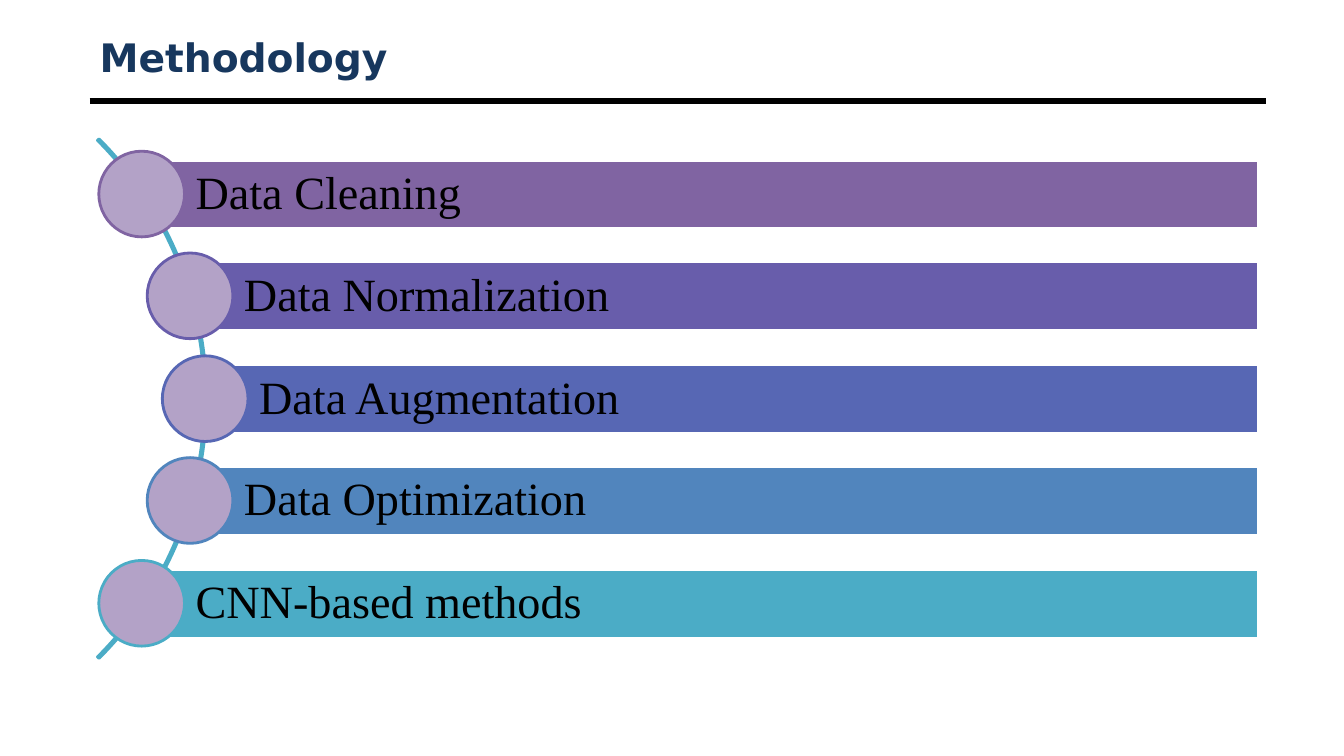
from pptx import Presentation
from pptx.dml.color import RGBColor
from pptx.enum.shapes import MSO_CONNECTOR as LINK, MSO_SHAPE as SHAPE
from pptx.enum.text import MSO_ANCHOR as ANCHOR, PP_ALIGN as ALIGN
from pptx.util import Emu, Pt
from lxml import etree

PX = 9144  # 100 px to the inch
COLORS = {"title": "17375E", "rule": "000000", "text": "000000",
          "edge": "FFFFFF", "dot": "B3A2C7", "arc": "4BACC6"}
STEPS = [
    ("Data Cleaning", 140, "8064A2"),
    ("Data Normalization", 188, "685DAB"),
    ("Data Augmentation", 203, "5767B4"),
    ("Data Optimization", 188, "5185BD"),
    ("CNN-based methods", 140, "4BACC6"),
]
RIGHT, TOP, HIGH, DOT = 1248, 159, 68, 85


def draw(kind, box, fill, edge):
    """Add a flat shape; a fill of None leaves it empty."""
    shape = slide.shapes.add_shape(kind, *[Emu(n * PX) for n in box])
    shape.shadow.inherit = False
    if fill:
        shape.fill.solid()
        shape.fill.fore_color.rgb = RGBColor.from_string(fill)
    else:
        shape.fill.background()
    shape.line.color.rgb = RGBColor.from_string(edge)
    shape.line.width = Pt(2)
    return shape


def write(shape, text, font, size, color, inset, bold=False):
    frame = shape.text_frame
    frame.word_wrap = True
    frame.vertical_anchor = ANCHOR.MIDDLE
    frame.margin_left = Emu(inset * PX)
    frame.margin_right = Emu(9 * PX)
    para = frame.paragraphs[0]
    para.alignment = ALIGN.LEFT
    run = para.add_run()
    run.text = text
    run.font.name = font
    run.font.size = Pt(size)
    run.font.bold = bold
    run.font.color.rgb = RGBColor.from_string(color)
    return para


deck = Presentation()
deck.slide_width, deck.slide_height = Emu(1333 * PX), Emu(750 * PX)
slide = deck.slides.add_slide(deck.slide_layouts[6])

# Heading and rule
rule = slide.shapes.add_connector(
    LINK.STRAIGHT, *[Emu(n * PX) for n in (89, 100, 1256, 100)])
rule.line.color.rgb = RGBColor.from_string(COLORS["rule"])
rule.line.width = Pt(4.5)
etree.SubElement(
    rule._element.spPr,
    "{http://schemas.openxmlformats.org/drawingml/2006/main}effectLst")

title = slide.shapes.add_textbox(*[Emu(n * PX) for n in (89, 30, 1167, 53)])
write(title, "Methodology", "DejaVu Sans", 28, COLORS["title"], 10, True)

# Curve behind the steps, from 315 to 45 degrees
arc = draw(SHAPE.BLOCK_ARC, (-524, 31, 729, 729), None, COLORS["arc"])
for i, value in enumerate((189, 27, 0.003)):
    arc.adjustments[i] = value

# Steps
for i, (label, left, color) in enumerate(STEPS):
    top = TOP + i * 203 // 2
    bar = draw(SHAPE.RECTANGLE, (left, top, RIGHT - left, HIGH),
               color, COLORS["edge"])
    para = write(bar, label, "Times New Roman", 33, COLORS["text"], 54)
    para.line_spacing = 0.9
    draw(SHAPE.OVAL, (left - 42, top - 9, DOT, DOT), COLORS["dot"], color)

deck.save("out.pptx")
